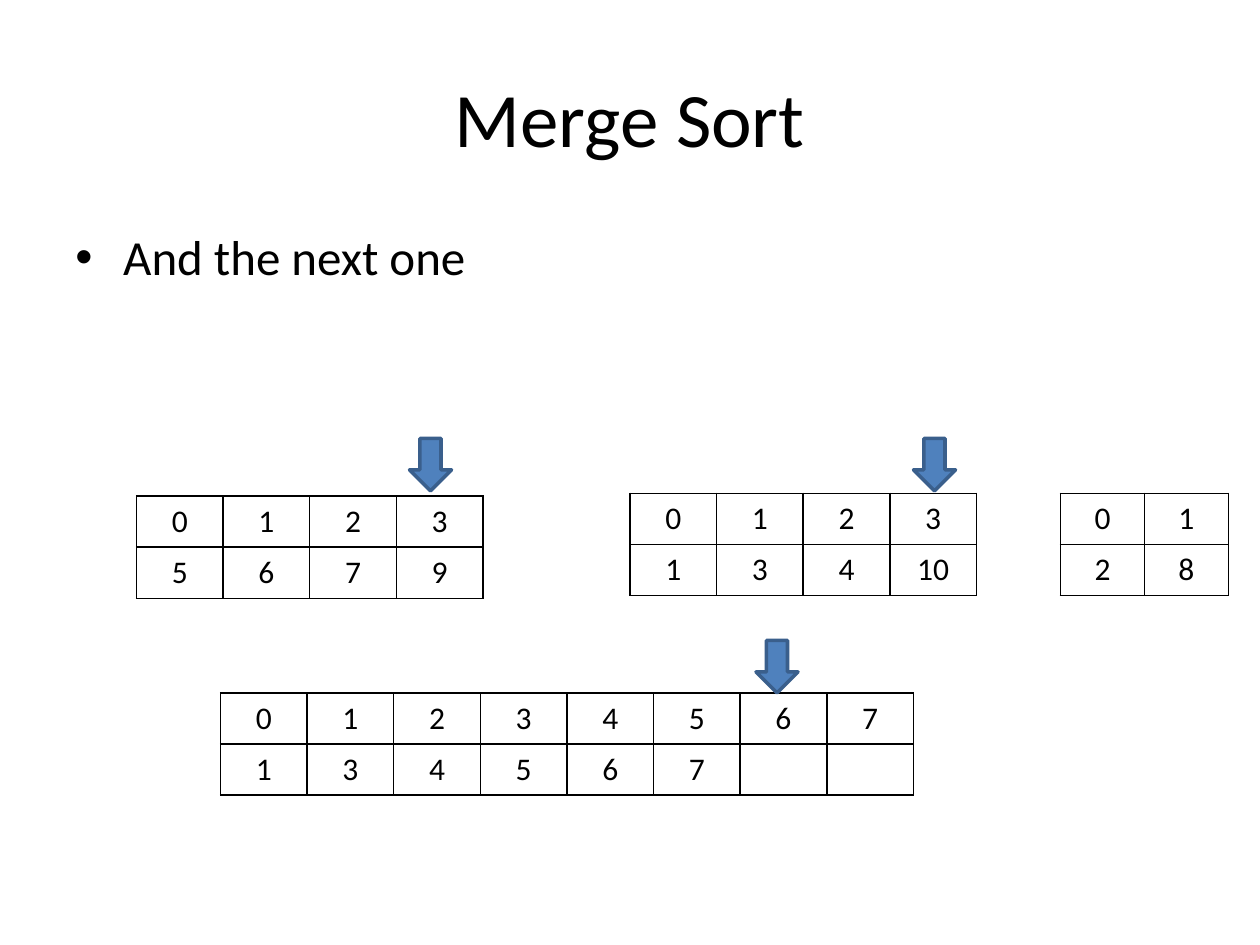
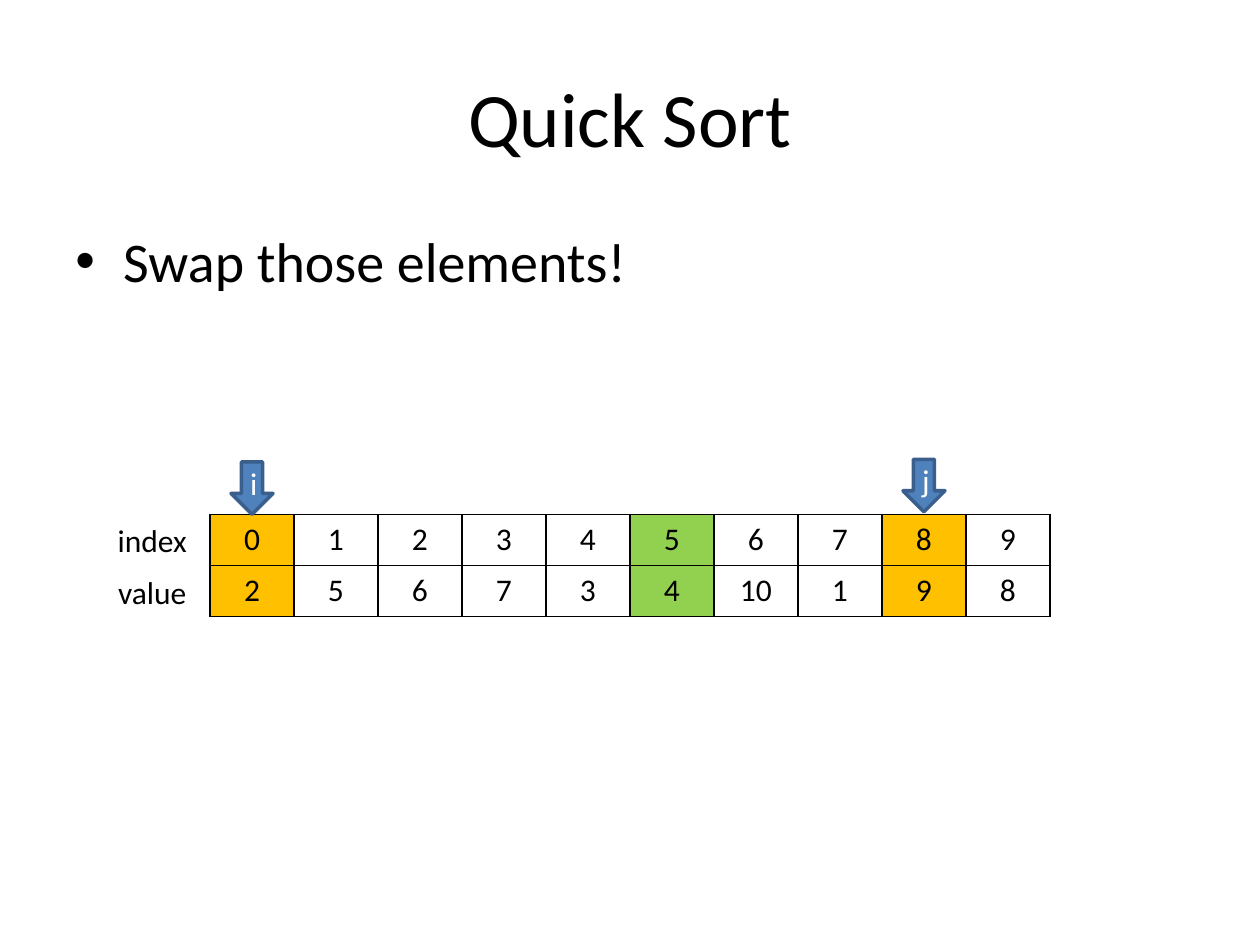
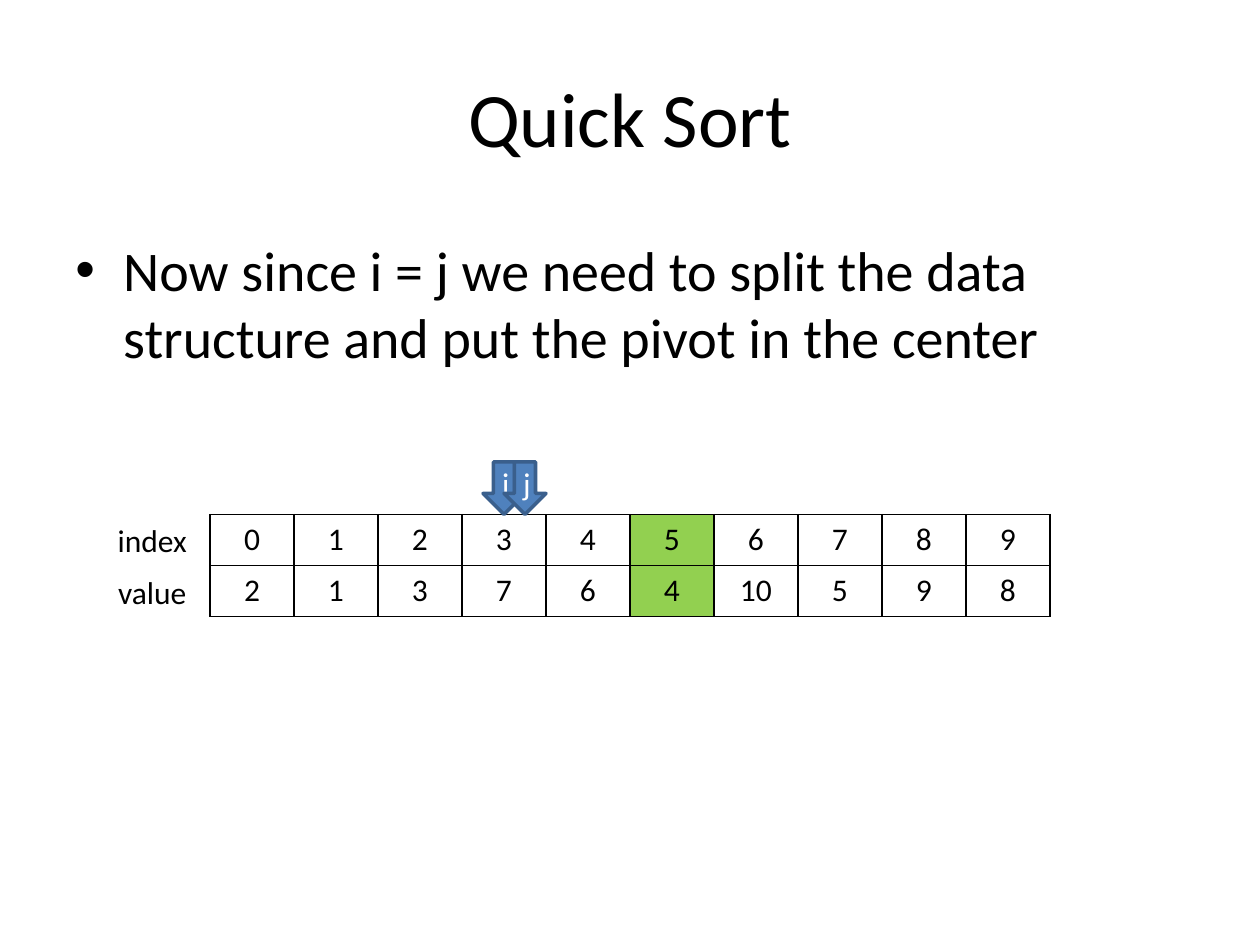
import dataclasses
import typing

import lxml.etree
import pptx
import pptx.dml.color
import pptx.enum.shapes
import pptx.enum.text
import pptx.oxml.ns
import pptx.util

SLIDE_WIDTH = pptx.util.Inches(10)
SLIDE_HEIGHT = pptx.util.Inches(7.5)
GRID_COLUMNS = 120
GRID_ROWS = 90
CENTER = pptx.enum.text.PP_ALIGN.CENTER
LEFT = pptx.enum.text.PP_ALIGN.LEFT


@dataclasses.dataclass(frozen=True)
class Theme:
    font: str = "Calibri"
    ink: str = "000000"
    paper: str = "FFFFFF"
    arrow: str = "4F81BD"
    arrow_edge: str = "3A5F8C"
    swapped: str = "FFC000"
    pivot: str = "92D050"
    title_size: int = 44
    bullet_size: int = 32
    small_bullet_size: int = 28
    cell_size: int = 18
    border_width: int = 1
    arrow_edge_width: int = 2


THEME = Theme()


class Area(typing.NamedTuple):
    column: float
    row: float
    columns: float
    rows: float

    def place(self) -> dict[str, int]:
        return {
            "left": across(self.column),
            "top": down(self.row),
            "width": across(self.columns),
            "height": down(self.rows),
        }


@dataclasses.dataclass(frozen=True)
class Pointer:
    column: float
    row: float
    name: str = ""


@dataclasses.dataclass(frozen=True)
class NumberArray:
    column: float
    row: float
    values: tuple[str, ...]
    cell_columns: float = 8.25
    fills: dict[int, str] = dataclasses.field(default_factory=dict)


@dataclasses.dataclass(frozen=True)
class Page:
    title: str
    bullet: str
    arrays: tuple[NumberArray, ...]
    pointers: tuple[Pointer, ...]
    bullet_size: int = THEME.bullet_size
    bullet_row: float = 21
    labels: tuple[str, ...] = ()


TITLE_AREA = Area(6, 3.6, 108, 15)
BULLET_COLUMNS, BULLET_ROWS = 108, 59.4
BULLET_INDENT = pptx.util.Inches(0.38)
POINTER_COLUMNS, POINTER_ROWS = 4, 5
CELL_ROWS = 4.87
LABEL_AREA = Area(9, 49, 11, 5)
QUICK_LABELS = ("index", "value")


def across(columns: float) -> int:
    return round(SLIDE_WIDTH * columns / GRID_COLUMNS)


def down(rows: float) -> int:
    return round(SLIDE_HEIGHT * rows / GRID_ROWS)


def color(value: str) -> pptx.dml.color.RGBColor:
    return pptx.dml.color.RGBColor.from_string(value)


def apply(target: typing.Any, values: dict[str, typing.Any]) -> None:
    for name, value in values.items():
        setattr(target, name, value)


def write(frame, text: str, size: int, ink: str = THEME.ink, alignment=CENTER):
    para = frame.paragraphs[0]
    para.alignment = alignment
    span = para.add_run()
    span.text = text
    apply(span.font, {"name": THEME.font, "size": pptx.util.Pt(size), "bold": False})
    span.font.color.rgb = color(ink)
    return para


def add_element(parent, tag: str, **attributes: str):
    return lxml.etree.SubElement(parent, pptx.oxml.ns.qn(tag), attributes)


def draw_title(slide, text: str) -> None:
    box = slide.shapes.title
    apply(box, TITLE_AREA.place())
    box.text_frame.vertical_anchor = pptx.enum.text.MSO_ANCHOR.MIDDLE
    write(box.text_frame, text, THEME.title_size)


def draw_bullet(slide, page: Page) -> None:
    area = Area(TITLE_AREA.column, page.bullet_row, BULLET_COLUMNS, BULLET_ROWS)
    box = slide.shapes.add_textbox(**area.place())
    box.text_frame.word_wrap = True
    para = write(box.text_frame, page.bullet, page.bullet_size, alignment=LEFT)
    properties = para._p.get_or_add_pPr()
    apply_indent = {"marL": BULLET_INDENT, "indent": -BULLET_INDENT}
    for name, value in apply_indent.items():
        properties.set(name, str(value))
    add_element(add_element(properties, "a:spcBef"), "a:spcPct", val="20000")
    add_element(properties, "a:buFont", typeface="Arial")
    add_element(properties, "a:buChar", char="•")


def draw_borders(cell) -> None:
    properties = cell._tc.get_or_add_tcPr()
    for side in ("a:lnL", "a:lnR", "a:lnT", "a:lnB"):
        line = add_element(properties, side, w=str(pptx.util.Pt(THEME.border_width)))
        add_element(add_element(line, "a:solidFill"), "a:srgbClr", val=THEME.ink)


def draw_array(slide, array: NumberArray) -> None:
    count = len(array.values)
    area = Area(array.column, array.row, count * array.cell_columns, 2 * CELL_ROWS)
    table = slide.shapes.add_table(2, count, **area.place()).table
    apply(table, {"first_row": False, "horz_banding": False})
    for index, value in enumerate(array.values):
        for row, text in enumerate((str(index), value)):
            cell = table.cell(row, index)
            draw_borders(cell)
            if index in array.fills:
                cell.fill.solid()
                cell.fill.fore_color.rgb = color(array.fills[index])
            else:
                cell.fill.background()
            if text:
                write(cell.text_frame, text, THEME.cell_size)


def draw_labels(slide, labels: tuple[str, ...]) -> None:
    for index, label in enumerate(labels):
        area = LABEL_AREA._replace(row=LABEL_AREA.row + index * LABEL_AREA.rows)
        box = slide.shapes.add_textbox(**area.place())
        apply(box.text_frame, {
            "word_wrap": True,
            "auto_size": pptx.enum.text.MSO_AUTO_SIZE.SHAPE_TO_FIT_TEXT,
        })
        write(box.text_frame, label, THEME.cell_size)


def draw_pointer(slide, pointer: Pointer) -> None:
    area = Area(pointer.column, pointer.row, POINTER_COLUMNS, POINTER_ROWS)
    arrow = slide.shapes.add_shape(
        pptx.enum.shapes.MSO_SHAPE.DOWN_ARROW, **area.place()
    )
    arrow.shadow.inherit = False
    arrow.fill.solid()
    arrow.fill.fore_color.rgb = color(THEME.arrow)
    arrow.line.color.rgb = color(THEME.arrow_edge)
    arrow.line.width = pptx.util.Pt(THEME.arrow_edge_width)
    if pointer.name:
        write(arrow.text_frame, pointer.name, THEME.cell_size, THEME.paper)


def draw_page(deck, page: Page) -> None:
    slide = deck.slides.add_slide(deck.slide_layouts.get_by_name("Title Only"))
    draw_title(slide, page.title)
    draw_bullet(slide, page)
    for array in page.arrays:
        draw_array(slide, array)
    draw_labels(slide, page.labels)
    for pointer in page.pointers:
        draw_pointer(slide, pointer)


def quick_array(values: str, fills: dict[int, str]) -> NumberArray:
    return NumberArray(20, 49, tuple(values.split()), cell_columns=8, fills=fills)


PAGES = (
    Page(
        title="Merge Sort",
        bullet="And the next one",
        bullet_size=THEME.small_bullet_size,
        arrays=(
            NumberArray(101, 47, ("2", "8"), cell_columns=8),
            NumberArray(13, 47.25, ("5", "6", "7", "9")),
            NumberArray(60, 47, ("1", "3", "4", "10")),
            NumberArray(21, 66, ("1", "3", "4", "5", "6", "7", "", "")),
        ),
        pointers=(Pointer(39, 41.75), Pointer(87, 41.75), Pointer(72, 61)),
    ),
    Page(
        title="Quick Sort",
        bullet="Swap those elements!",
        arrays=(
            quick_array(
                "2 5 6 7 3 4 10 1 9 8",
                {0: THEME.swapped, 5: THEME.pivot, 8: THEME.swapped},
            ),
        ),
        labels=QUICK_LABELS,
        pointers=(Pointer(86, 43.75, "j"), Pointer(22, 44, "i")),
    ),
    Page(
        title="Quick Sort",
        bullet="Now since i = j we need to split the data structure "
        "and put the pivot in the center",
        bullet_row=21.8,
        arrays=(
            quick_array(
                "2 1 3 7 6 4 10 5 9 8",
                {**dict.fromkeys((0, 1, 2, 4, 7, 8), THEME.paper), 5: THEME.pivot},
            ),
        ),
        labels=QUICK_LABELS,
        pointers=(Pointer(46, 44, "i"), Pointer(48, 44, "j")),
    ),
)


def main() -> None:
    deck = pptx.Presentation()
    apply(deck, {"slide_width": SLIDE_WIDTH, "slide_height": SLIDE_HEIGHT})
    for page in PAGES:
        draw_page(deck, page)
    deck.save("out.pptx")


if __name__ == "__main__":
    main()
